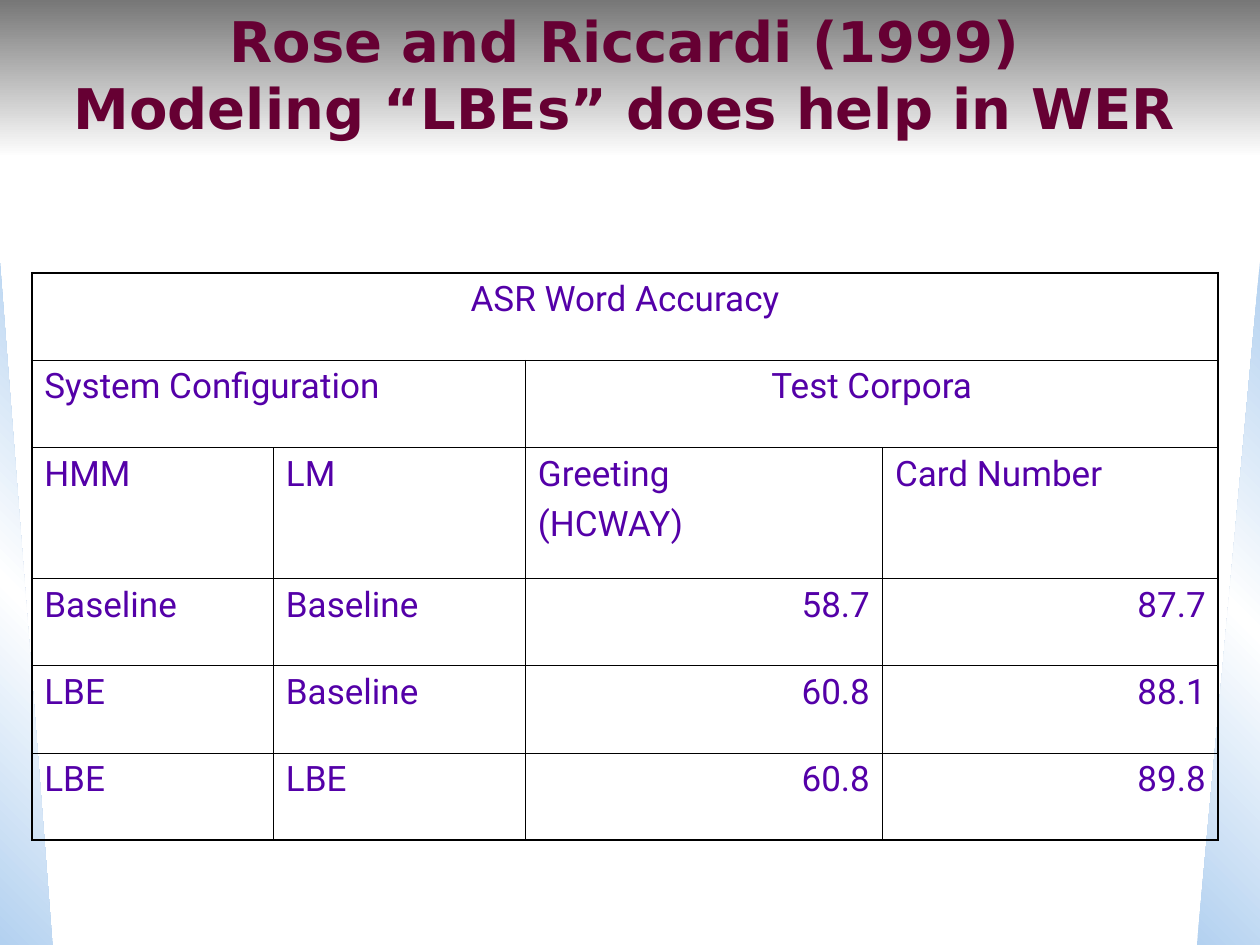
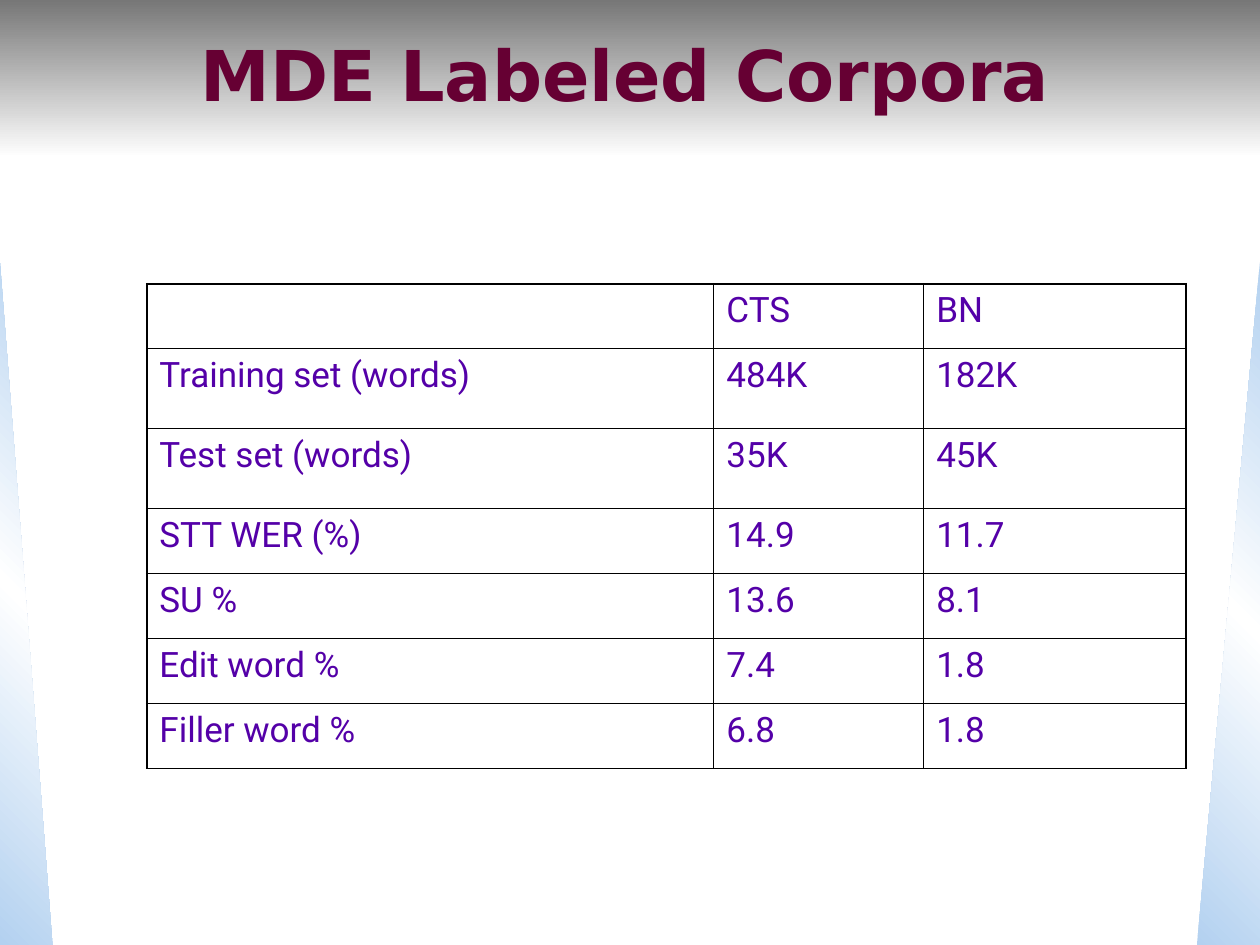
import pptx
import pptx.dml.color
import pptx.enum.shapes
import pptx.enum.text
import pptx.oxml.ns
import pptx.util
from lxml import etree

Cm = pptx.util.Cm
Pt = pptx.util.Pt
RGBColor = pptx.dml.color.RGBColor
Shape = pptx.enum.shapes.MSO_SHAPE
Align = pptx.enum.text.PP_ALIGN
Anchor = pptx.enum.text.MSO_ANCHOR
qn = pptx.oxml.ns.qn

BAND_GREY = RGBColor(0x77, 0x77, 0x77)
WHITE = RGBColor(0xFF, 0xFF, 0xFF)
PALE_BLUE = RGBColor(0xB3, 0xD1, 0xF0)
MAROON = RGBColor(0x66, 0x00, 0x33)
PURPLE = RGBColor(0x54, 0x00, 0xA8)
BLACK = RGBColor(0x00, 0x00, 0x00)

TITLE_FONT = "DejaVu Sans"
TABLE_FONT = "Roboto"
OUTER_BORDER = Pt(1.08)
INNER_BORDER = Pt(0.45)


def add_color(parent, color):
    etree.SubElement(parent, qn("a:srgbClr"), val=str(color))


def add_gradient_shape(slide, kind, left, top, width, height, colors, angle):
    """Add a borderless shape with evenly spaced colours; angle runs clockwise."""
    shape = slide.shapes.add_shape(kind, Cm(left), Cm(top), Cm(width), Cm(height))
    shape.shadow.inherit = False
    shape.line.fill.background()
    shape.fill.gradient()
    shape.fill.gradient_angle = 360 - angle
    stops = shape.element.spPr.find(qn("a:gradFill")).find(qn("a:gsLst"))
    for stop in list(stops):
        stops.remove(stop)
    for index, color in enumerate(colors):
        position = index * 100000 // (len(colors) - 1)
        add_color(etree.SubElement(stops, qn("a:gs"), pos=str(position)), color)
    return shape


def add_background(slide):
    add_gradient_shape(slide, Shape.RECTANGLE, 0, 0, 25.4, 3.18,
                       [BAND_GREY, WHITE], 90)
    side_colors = [PALE_BLUE, WHITE, PALE_BLUE]
    add_gradient_shape(slide, Shape.RIGHT_TRIANGLE, 0, 5.29, 1.06, 13.76,
                       side_colors, 135)
    right_side = add_gradient_shape(slide, Shape.RIGHT_TRIANGLE, 24.13, 5.29,
                                    1.27, 13.76, side_colors, 225)
    right_side.element.spPr.find(qn("a:xfrm")).set("flipH", "1")


def add_run(paragraph, text, font_name, size, color, bold=False):
    run = paragraph.add_run()
    run.text = text
    run.font.name = font_name
    run.font.size = Pt(size)
    run.font.color.rgb = color
    run.font.bold = bold


def add_title(slide, lines, size):
    box = slide.shapes.add_textbox(Cm(0.21), Cm(0), Cm(24.77), Cm(2.96))
    frame = box.text_frame
    frame.word_wrap = True
    frame.vertical_anchor = Anchor.MIDDLE
    paragraph = frame.paragraphs[0]
    paragraph.alignment = Align.CENTER
    for index, line in enumerate(lines):
        if index:
            paragraph.add_line_break()
        add_run(paragraph, line, TITLE_FONT, size, MAROON, bold=True)


def add_titled_slide(presentation, title_lines, title_size):
    slide = presentation.slides.add_slide(presentation.slide_layouts[6])
    add_background(slide)
    add_title(slide, title_lines, title_size)
    return slide


def fill_cell(cell, text, alignment):
    for index, line in enumerate(text.split("\n")):
        frame = cell.text_frame
        paragraph = frame.add_paragraph() if index else frame.paragraphs[0]
        paragraph.alignment = alignment
        if index:
            paragraph.space_before = Pt(5)
        if line:
            add_run(paragraph, line, TABLE_FONT, 20, PURPLE)


def set_borders(cell, outer_edges):
    """Draw all four sides, the ones flagged in outer_edges (L, R, T, B) thicker."""
    properties = cell._tc.get_or_add_tcPr()
    for side, is_outer in zip("LRTB", outer_edges):
        width = OUTER_BORDER if is_outer else INNER_BORDER
        line = etree.SubElement(properties, qn(f"a:ln{side}"), w=str(int(width)))
        add_color(etree.SubElement(line, qn("a:solidFill")), BLACK)


def add_grid_table(slide, left, top, widths, heights, rows, merges=(), alignments=None):
    """merges holds (row, first column, last column); alignments maps (row, column)."""
    alignments = alignments or {}
    frame = slide.shapes.add_table(len(heights), len(widths), Cm(left), Cm(top),
                                   Cm(sum(widths)), Cm(sum(heights)))
    table = frame.table
    table.first_row = table.horz_banding = False
    for column, width in zip(table.columns, widths):
        column.width = Cm(width)
    for row, height in zip(table.rows, heights):
        row.height = Cm(height)
    for row, first, last in merges:
        table.cell(row, first).merge(table.cell(row, last))

    for row, texts in enumerate(rows):
        for column, text in enumerate(texts):
            cell = table.cell(row, column)
            if cell.is_spanned:
                continue
            fill_cell(cell, text, alignments.get((row, column), Align.LEFT))
            span = cell.span_width if cell.is_merge_origin else 1
            set_borders(cell, (column == 0, column + span == len(widths),
                               row == 0, row == len(rows) - 1))
            cell.fill.background()


def add_accuracy_slide(presentation):
    slide = add_titled_slide(presentation, [
        "Rose and Riccardi (1999)", "Modeling “LBEs” does help in WER"], 32)
    rows = [
        ["ASR Word Accuracy", "", "", ""],
        ["System Configuration", "", "Test Corpora", ""],
        ["HMM", "LM", "Greeting\n(HCWAY)", "Card Number"],
        ["Baseline", "Baseline", "58.7", "87.7"],
        ["LBE", "Baseline", "60.8", "88.1"],
        ["LBE", "LBE", "60.8", "89.8"],
    ]
    alignments = {(row, column): Align.RIGHT for row in (3, 4, 5) for column in (2, 3)}
    alignments[0, 0] = alignments[1, 2] = Align.CENTER
    add_grid_table(slide, 0.64, 5.5, [4.87, 5.08, 7.2, 6.77],
                   [1.76, 1.76, 2.64, 1.76, 1.76, 1.76], rows,
                   merges=[(0, 0, 3), (1, 0, 1), (1, 2, 3)], alignments=alignments)


def add_corpora_slide(presentation):
    slide = add_titled_slide(presentation, ["MDE Labeled Corpora"], 40)
    rows = [
        ["", "CTS", "BN"],
        ["Training set (words)", "484K", "182K"],
        ["Test set (words)", "35K", "45K"],
        ["STT WER (%)", "14.9", "11.7"],
        ["SU %", "13.6", "8.1"],
        ["Edit word %", "7.4", "1.8"],
        ["Filler word %", "6.8", "1.8"],
    ]
    add_grid_table(slide, 2.96, 5.72, [11.43, 4.23, 5.29],
                   [1.31, 1.61, 1.61] + [1.31] * 4, rows)


def main():
    presentation = pptx.Presentation()
    presentation.slide_width = Cm(25.4)
    presentation.slide_height = Cm(19.05)
    add_accuracy_slide(presentation)
    add_corpora_slide(presentation)
    presentation.save("out.pptx")


if __name__ == "__main__":
    main()
